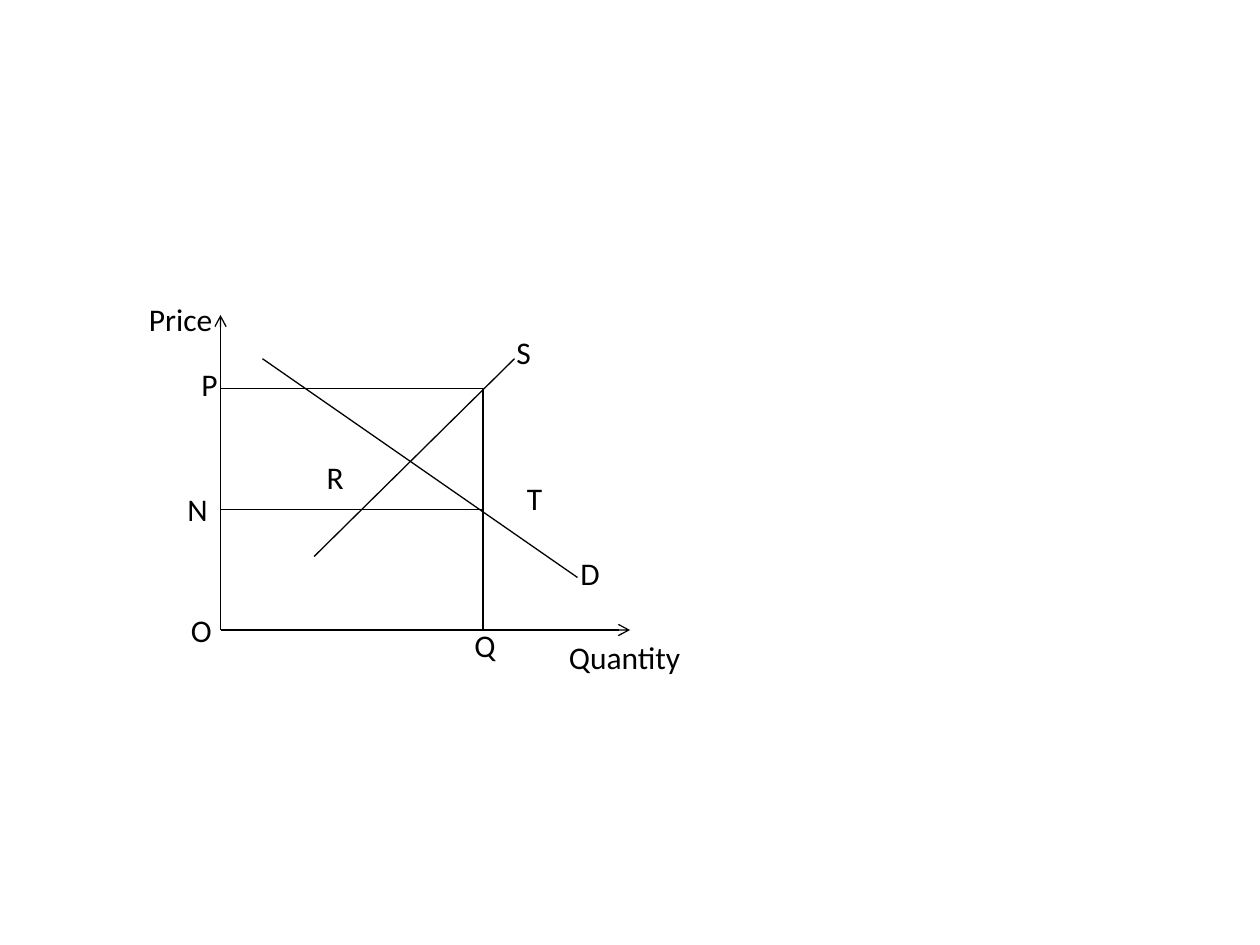
import pptx
import pptx.dml.color
import pptx.enum.shapes
import pptx.enum.text
import pptx.oxml
import pptx.oxml.ns
import pptx.util

Pt = pptx.util.Pt
BLACK = pptx.dml.color.RGBColor(0, 0, 0)
FONT = "Calibri"
LABEL_HEIGHT = 29

# Diagram coordinates in points
ORIGIN_X, ORIGIN_Y = 126, 360
QUANTITY_X = 276
PRICE_Y, LOWER_PRICE_Y = 222, 291
CURVE_TOP = 205

# Start, end, arrowhead at the end
LINES = [
    ((ORIGIN_X, ORIGIN_Y), (ORIGIN_X, 180), True),  # price axis
    ((ORIGIN_X, ORIGIN_Y), (360, ORIGIN_Y), True),  # quantity axis
    ((ORIGIN_X, PRICE_Y), (QUANTITY_X, PRICE_Y), False),
    ((QUANTITY_X, PRICE_Y), (QUANTITY_X, ORIGIN_Y), False),
    ((ORIGIN_X, LOWER_PRICE_Y), (QUANTITY_X, LOWER_PRICE_Y), False),
    ((179.5, 318), (294, CURVE_TOP), False),  # supply
    ((150, CURVE_TOP), (330, 330), False),  # demand
]

# Text, left, top, width
LABELS = [
    ("P", 108, 205, 24),
    ("Price", 78, 168, 51),
    ("N", 100, 276.5, 26),
    ("O", 102, 345.5, 27),
    ("Q", 264, 354, 27),
    ("Quantity", 318, 361, 79),
    ("T", 294, 270, 23),
    ("R", 179.5, 258, 24),
    ("D", 324.5, 313, 26),
    ("S", 288, 187, 23),
]


def add_line(slide, start, end, arrow):
    line = slide.shapes.add_connector(
        pptx.enum.shapes.MSO_CONNECTOR.STRAIGHT, *map(Pt, start + end))
    line.line.color.rgb = BLACK
    line.line.width = Pt(0.75)
    if arrow:
        tail = pptx.oxml.parse_xml(
            f'<a:tailEnd {pptx.oxml.ns.nsdecls("a")} type="arrow"/>')
        line.line._get_or_add_ln().append(tail)
    # An empty effect list removes the theme shadow
    line._element.spPr.append(pptx.oxml.parse_xml(
        f'<a:effectLst {pptx.oxml.ns.nsdecls("a")}/>'))


def add_label(slide, text, left, top, width):
    box = slide.shapes.add_textbox(
        Pt(left), Pt(top), Pt(width), Pt(LABEL_HEIGHT))
    tf = box.text_frame
    tf.word_wrap = False
    tf.auto_size = pptx.enum.text.MSO_AUTO_SIZE.SHAPE_TO_FIT_TEXT
    p = tf.paragraphs[0]
    p.text = text
    p.font.name = FONT
    p.font.size = Pt(18)
    p.font.color.rgb = BLACK


def main():
    prs = pptx.Presentation()
    prs.slide_width, prs.slide_height = Pt(720), Pt(540)
    slide = prs.slides.add_slide(prs.slide_layouts[6])

    # Axes, guide lines and curves
    for start, end, arrow in LINES:
        add_line(slide, start, end, arrow)

    # Labels
    for label in LABELS:
        add_label(slide, *label)

    prs.save("out.pptx")


if __name__ == "__main__":
    main()
